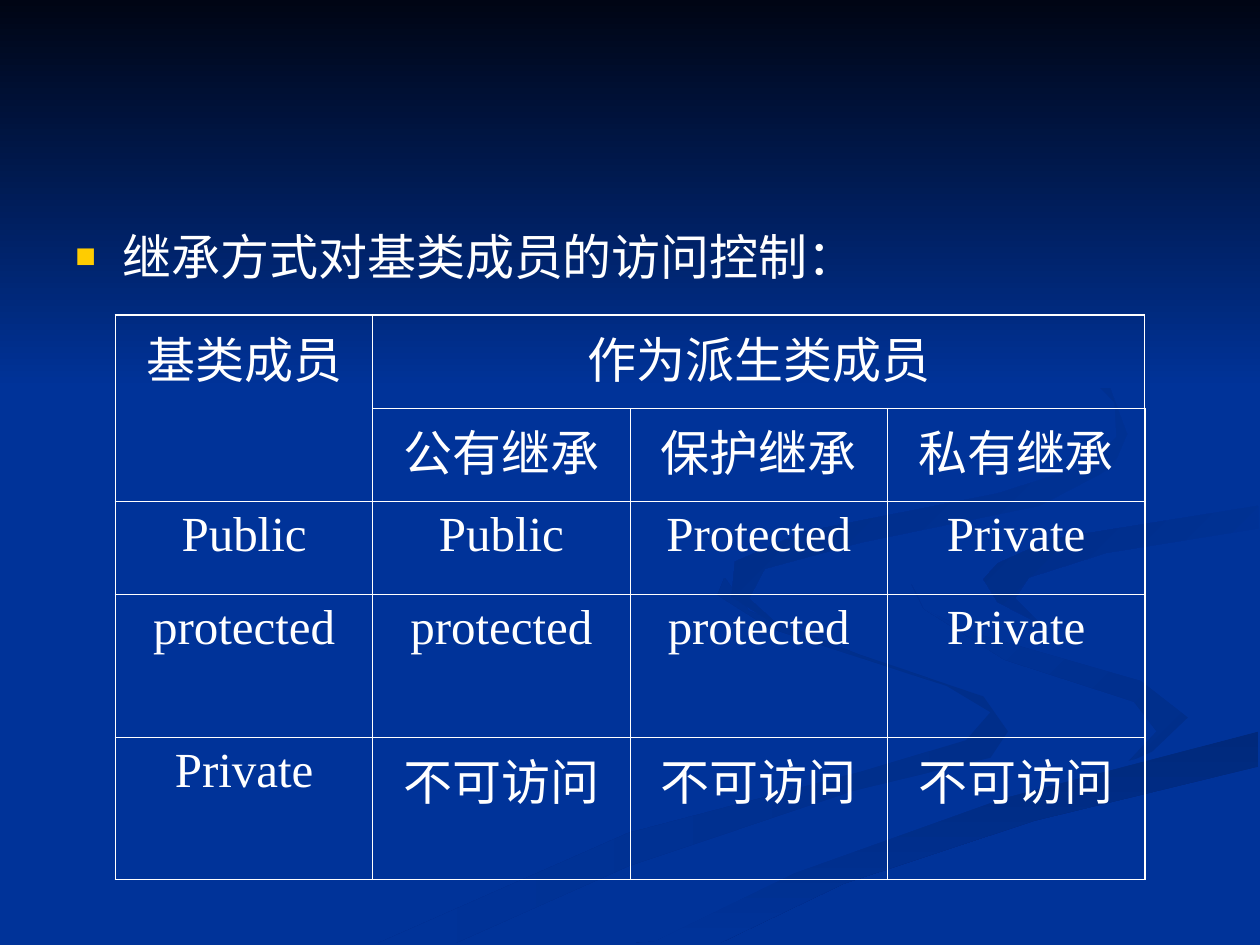
from lxml.etree import SubElement
from pptx import Presentation
from pptx.dml.color import RGBColor
from pptx.enum.text import PP_ALIGN as Align
from pptx.oxml.ns import qn
from pptx.util import Pt

FONT, SIZE = "Times New Roman", 28
BLUE, WHITE, GOLD = "003399", "FFFFFF", "FFCC00"
THICK, THIN = 1.08, 0.45

LEAD = "继承方式对基类成员的访问控制："
ROWS = [
    ["基类成员", "作为派生类成员", "", ""],
    ["", "公有继承", "保护继承", "私有继承"],
    ["Public", "Public", "Protected", "Private"],
    ["protected", "protected", "protected", "Private"],
    ["Private", "不可访问", "不可访问", "不可访问"],
]
TALL = [53.3, 53.3, 53.3, 81.4, 81.4]
WIDE = 147.05
MERGES = [((0, 0), (1, 0)), ((0, 1), (0, 3))]

# Start colour, end colour, clockwise angle, outline in points
WAVES = [
    ("002E8A", BLUE, 180, [
        (562, 398), (491, 374), (428, 349), (414, 330), (410, 340),
        (440, 359), (541, 392), (566, 407), (552, 423), (492, 441),
        (359, 476), (216, 539), (260, 539), (359, 495), (487, 452),
        (566, 433), (576, 418)]),
    ("002E8A", BLUE, 225, [
        (679, 410), (652, 389), (557, 362), (528, 348), (521, 334),
        (528, 348), (574, 377), (648, 401), (661, 418), (644, 436),
        (675, 422)]),
    ("00297C", BLUE, 90, [
        (374, 538), (362, 539), (411, 539), (482, 505), (591, 469),
        (719, 438), (719, 418), (574, 456), (454, 499)]),
    (BLUE, BLUE, 0, [
        (522, 334), (528, 348), (558, 362), (652, 389), (679, 410),
        (656, 432), (535, 463), (413, 506), (343, 539), (374, 538),
        (454, 499), (574, 456), (719, 418), (719, 387), (599, 358),
        (562, 333), (592, 312), (719, 289), (719, 279), (568, 304)]),
    (BLUE, "002C85", 225, [
        (562, 331), (570, 344), (595, 357), (580, 342), (588, 330),
        (632, 316), (719, 302), (719, 289), (601, 308), (570, 322)]),
    (BLUE, "002B81", 225, [
        (492, 310), (594, 289), (636, 267), (644, 248), (634, 221),
        (607, 198), (549, 168), (609, 201), (637, 230), (638, 250),
        (620, 266), (570, 282), (459, 304), (420, 321), (418, 341),
        (448, 360), (428, 342), (437, 325)]),
    ("000514", BLUE, 90, [(0, 0), (0, 222), (720, 222), (720, 0)]),
]


def tint(code):
    return RGBColor.from_string(code)


def style(par):
    for run in par.runs:
        run.font.name, run.font.size = FONT, Pt(SIZE)
        run.font.color.rgb = tint(WHITE)


def add_wave(start, end, angle, pts):
    pen = slide.shapes.build_freeform(*pts[0], scale=Pt(1))
    pen.add_line_segments(pts[1:], close=True)
    wave = pen.convert_to_shape()
    wave.shadow.inherit = False
    wave.line.fill.background()
    if start == end:
        wave.fill.solid()
        wave.fill.fore_color.rgb = tint(start)
        return
    wave.fill.gradient()
    wave.fill.gradient_angle = 360 - angle
    for stop, code, at in zip(wave.fill.gradient_stops, (start, end), (0, 1)):
        stop.color.rgb, stop.position = tint(code), at


def add_lead():
    box = slide.shapes.add_textbox(Pt(36), Pt(126), Pt(642), Pt(48))
    box.text_frame.word_wrap = True
    par = box.text_frame.paragraphs[0]
    par.text = LEAD
    props = par._p.get_or_add_pPr()
    props.set("marL", str(Pt(27)))
    props.set("indent", str(-Pt(27)))
    SubElement(SubElement(props, qn("a:buClr")), qn("a:srgbClr"), val=GOLD)
    SubElement(props, qn("a:buSzPct"), val="70000")
    SubElement(props, qn("a:buFont"), typeface=FONT)
    SubElement(props, qn("a:buChar"), char="■")
    style(par)


def set_edges(cell, outer):
    """Draw the four borders, thick on the sides marked as outer."""
    props = cell._tc.get_or_add_tcPr()
    for i, (side, thick) in enumerate(zip("LRTB", outer)):
        width = Pt(THICK if thick else THIN)
        edge = props.makeelement(qn("a:ln" + side), {"w": str(width)})
        fill = SubElement(edge, qn("a:solidFill"))
        SubElement(fill, qn("a:srgbClr"), val=WHITE)
        props.insert(i, edge)


def add_grid():
    rows, cols = len(ROWS), len(ROWS[0])
    grid = slide.shapes.add_table(rows, cols, Pt(66), Pt(180),
                                  Pt(WIDE * cols), Pt(sum(TALL))).table
    grid.first_row = grid.horz_banding = False
    for col in grid.columns:
        col.width = Pt(WIDE)
    for r, (texts, tall) in enumerate(zip(ROWS, TALL)):
        grid.rows[r].height = Pt(tall)
        for c, text in enumerate(texts):
            cell = grid.cell(r, c)
            cell.fill.background()
            set_edges(cell, (c == 0, c == cols - 1, r == 0, r == rows - 1))
            par = cell.text_frame.paragraphs[0]
            par.text, par.alignment = text, Align.CENTER
            style(par)
    for first, last in MERGES:
        grid.cell(*first).merge(grid.cell(*last))


deck = Presentation()
deck.slide_width, deck.slide_height = Pt(720), Pt(540)
slide = deck.slides.add_slide(deck.slide_layouts[6])
slide.background.fill.solid()
slide.background.fill.fore_color.rgb = tint(BLUE)
for wave in WAVES:
    add_wave(*wave)
add_lead()
add_grid()
deck.save("out.pptx")
